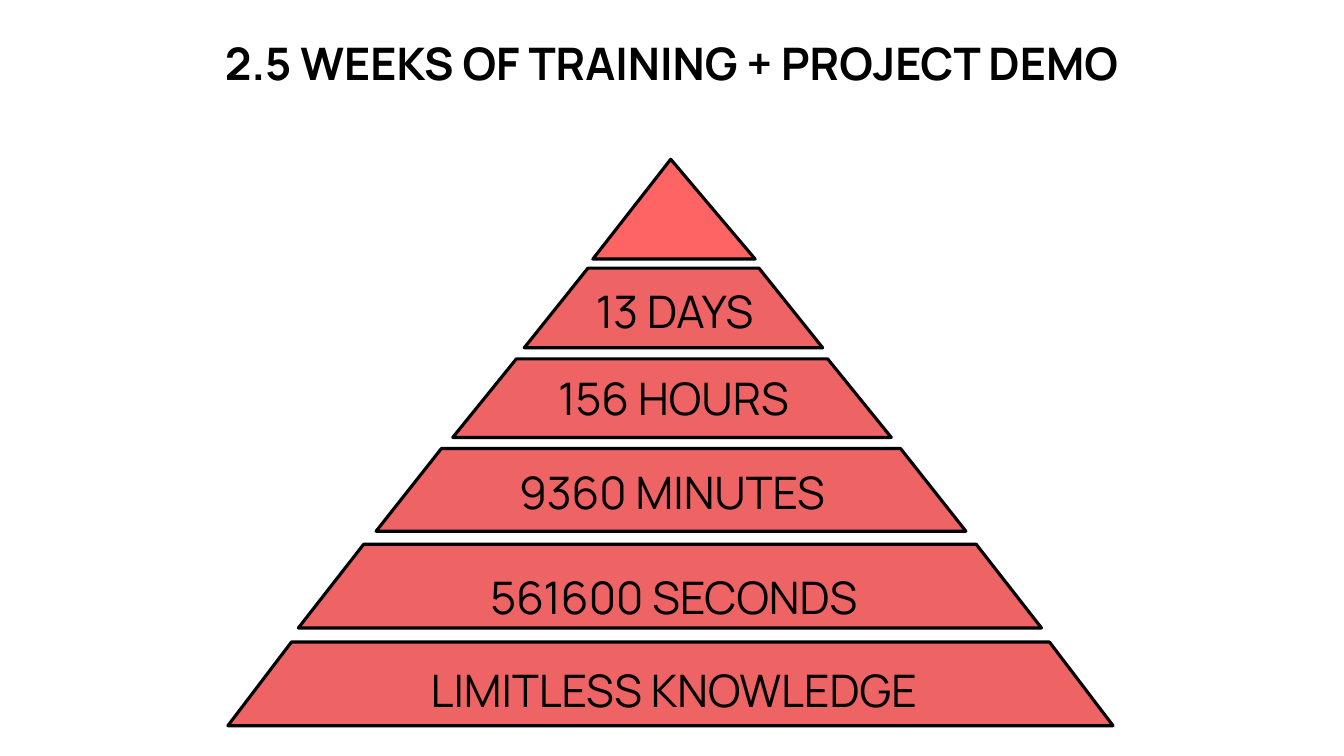
from dataclasses import dataclass

from pptx import Presentation
from pptx.dml.color import RGBColor
from pptx.enum.shapes import MSO_SHAPE as Preset
from pptx.enum.text import MSO_ANCHOR as Anchor, MSO_AUTO_SIZE as AutoSize, PP_ALIGN as Align
from pptx.slide import Slide
from pptx.util import Inches, Pt

COLOURS = {"text": "000000", "outline": "000000", "tier": "EE6464", "peak": "FF6464"}
FONT = {"name": "Manrope", "size": Pt(32)}
CENTRED_FRAME = {
    "word_wrap": True, "vertical_anchor": Anchor.MIDDLE,
    "margin_left": 0, "margin_top": 0, "margin_right": 0, "margin_bottom": 0,
}
TITLE_FRAME = CENTRED_FRAME | {"margin_bottom": Inches(0.56)}
FITTED_FRAME = {"word_wrap": True, "auto_size": AutoSize.SHAPE_TO_FIT_TEXT}
LOOSE_PARA = {"alignment": Align.CENTER, "line_spacing": 1.1}
PLAIN_PARA = {"alignment": Align.CENTER}


@dataclass
class Box:
    left: float
    top: float
    width: float
    height: float

    def lengths(self) -> list[Inches]:
        return [Inches(n) for n in (self.left, self.top, self.width, self.height)]


@dataclass
class Tier:
    box: Box
    adjustment: float
    preset: Preset = Preset.TRAPEZOID
    fill: str = "tier"


@dataclass
class Label:
    text: str
    box: Box
    frame: dict
    para: dict
    bold: bool = False


TIERS = [
    Tier(Box(5.88, 1.58, 1.61, 0.99), 0.48, Preset.ISOSCELES_TRIANGLE, "peak"),
    Tier(Box(5.2, 2.66, 2.96, 0.79), 0.8),
    Tier(Box(4.49, 3.56, 4.35, 0.78), 0.81),
    Tier(Box(3.73, 4.45, 5.85, 0.82), 0.79),
    Tier(Box(2.96, 5.4, 7.37, 0.83), 0.78),
    Tier(Box(2.26, 6.37, 8.78, 0.83), 0.76),
]
LABELS = [
    Label("2.5 WEEKS OF TRAINING + PROJECT DEMO", Box(0, 0.24, 13.33, 1.26),
          TITLE_FRAME, LOOSE_PARA, bold=True),
    Label("13 DAYS", Box(5.48, 2.77, 2.42, 0.64), FITTED_FRAME, PLAIN_PARA),
    Label("156 HOURS", Box(5.2, 3.63, 2.96, 0.64), FITTED_FRAME, PLAIN_PARA),
    Label("9360 MINUTES", Box(4.49, 4.56, 4.35, 0.64), FITTED_FRAME, PLAIN_PARA),
    Label("561600 SECONDS", Box(1.79, 5.2, 9.79, 1.38), CENTRED_FRAME, LOOSE_PARA),
    Label("LIMITLESS KNOWLEDGE", Box(1.79, 6.12, 9.79, 1.38), CENTRED_FRAME, LOOSE_PARA),
]


def colour(name: str) -> RGBColor:
    return RGBColor.from_string(COLOURS[name])


def apply_format(target: object, values: dict) -> None:
    for name, value in values.items():
        setattr(target, name, value)


def draw_tier(page: Slide, tier: Tier) -> None:
    shape = page.shapes.add_shape(tier.preset, *tier.box.lengths())
    shape.adjustments[0] = tier.adjustment
    shape.shadow.inherit = False
    shape.fill.solid()
    shape.fill.fore_color.rgb = colour(tier.fill)
    shape.line.color.rgb = colour("outline")
    shape.line.width = Pt(2.25)


def draw_label(page: Slide, label: Label) -> None:
    frame = page.shapes.add_textbox(*label.box.lengths()).text_frame
    apply_format(frame, label.frame)
    para = frame.paragraphs[0]
    apply_format(para, label.para)
    span = para.add_run()
    span.text = label.text
    apply_format(span.font, FONT | {"bold": label.bold})
    span.font.color.rgb = colour("text")


def main() -> None:
    deck = Presentation()
    deck.slide_width, deck.slide_height = Inches(13.33), Inches(7.5)
    page = deck.slides.add_slide(deck.slide_layouts[6])
    for tier in TIERS:
        draw_tier(page, tier)
    for label in LABELS:
        draw_label(page, label)
    deck.save("out.pptx")


if __name__ == "__main__":
    main()
